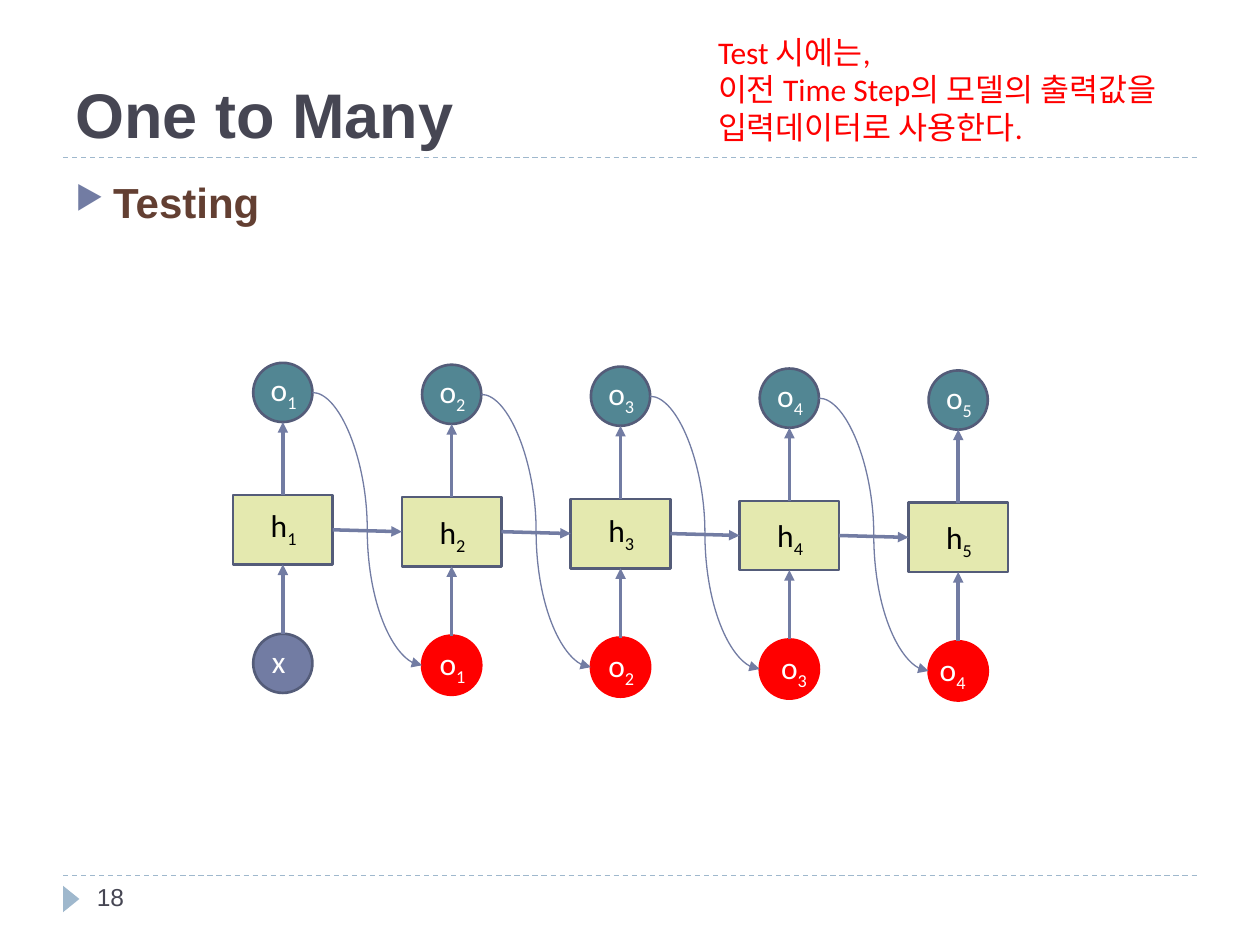
"""Build the One to Many slide, showing how a recurrent network runs at test time."""
from lxml import etree
from pptx import Presentation
from pptx import util as u
from pptx.dml.color import RGBColor
from pptx.enum import dml, shapes, text
from pptx.oxml.ns import qn

COLORS = {"ink": "464653", "brown": "633F32", "rule": "9FB8CD", "arrow": "727CA3", "edge": "545C79",
          "state": "E4E9AF", "output": "528693", "fed": "FF0000", "white": "FFFFFF", "black": "000000"}
FORMATS = {
    "title": ("ink", {"name": "Arial", "size": u.Pt(36), "bold": True}),
    "number": ("ink", {"name": "Arial", "size": u.Pt(14)}),
    "heading": ("brown", {"name": "Arial", "size": u.Pt(24), "bold": True}),
    "remark": ("fed", {"name": "Calibri", "size": u.Pt(18)}),
    "node": ("white", {"name": "Calibri", "size": u.Pt(18)}),
    "state": ("black", {"name": "Calibri", "size": u.Pt(18)}),
}
RGB = {name: RGBColor.from_string(value) for name, value in COLORS.items()}
COL, DROP, NODE = 1.34, 0.015, 0.47
STATE_W, STATE_H = 0.79, 0.55

deck = Presentation()
deck.slide_width, deck.slide_height = u.Inches(10), u.Inches(7.5)
slide = deck.slides.add_slide(deck.slide_layouts[6])


def write(box, lines, style, sub="", wrap=False, anchor=text.MSO_ANCHOR.TOP):
    frame = slide.shapes.add_textbox(*map(u.Inches, box)).text_frame
    frame.word_wrap, frame.vertical_anchor = wrap, anchor
    color, values = FORMATS[style]
    for index, line in enumerate(lines):
        paragraph = frame.paragraphs[0] if index == 0 else frame.add_paragraph()
        for part in filter(None, (line, sub)):
            run = paragraph.add_run()
            run.text = part
            run.font.color.rgb = RGB[color]
            for key, value in values.items():
                setattr(run.font, key, value)
        if sub:
            run.font._element.set("baseline", "-25000")
    return frame


def link(start, end, color="arrow", width=2, head=True, kind=shapes.MSO_CONNECTOR.STRAIGHT):
    connector = slide.shapes.add_connector(kind, *map(u.Inches, (*start, *end)))
    connector.line.color.rgb, connector.line.width = RGB[color], u.Pt(width)
    if head:
        etree.SubElement(connector.line._get_or_add_ln(), qn("a:tailEnd"), type="triangle")
    etree.SubElement(connector._element.spPr, qn("a:effectLst"))
    return connector


for rule_y in (6.95, 1.25):
    rule = link((0.5, rule_y), (9.5, rule_y), "rule", 0.75, head=False)
    rule.line.dash_style = dml.MSO_LINE.DASH

marker = slide.shapes.add_shape(shapes.MSO_SHAPE.ISOSCELES_TRIANGLE, *map(u.Inches, (0.46, 7.07, 0.21, 0.13)))
marker.rotation, marker.shadow.inherit = 90, False
marker.fill.solid()
marker.fill.fore_color.rgb = RGB["rule"]
marker.line.fill.background()

write((0.5, 0.17, 9, 1.08), ["One to Many"], "title", wrap=True, anchor=text.MSO_ANCHOR.BOTTOM)
write((0.67, 6.95, 2.17, 0.4), ["18"], "number", wrap=True)
heading = write((0.5, 1.35, 9, 5.38), ["Testing"], "heading", wrap=True).paragraphs[0]
bullet = heading._p.get_or_add_pPr()
bullet.set("marL", str(u.Inches(0.3)))
bullet.set("indent", str(u.Inches(-0.3)))
tint = etree.SubElement(bullet, qn("a:buClr"))
etree.SubElement(tint, qn("a:srgbClr"), val=COLORS["arrow"])
etree.SubElement(bullet, qn("a:buSzPct"), val="76000")
etree.SubElement(bullet, qn("a:buChar"), char="▶")

state_label_tops = (3.97, 4.02, 4.01, 4.05, 4.06)
input_label_lefts = (2.06, 3.39, 4.73, 6.1, 7.36)
previous_state = None
for step in range(5):
    left, drop = 1.85 + COL * step, DROP * step
    middle = left + STATE_W / 2
    node_left = middle - NODE / 2
    output_top, state_top, input_top = (top + drop for top in (2.88, 3.93, 5.03))
    input_color = "fed" if step else "arrow"
    parts = []
    for preset, box, fill, edge in (
        (shapes.MSO_SHAPE.RECTANGLE, (left, state_top, STATE_W, STATE_H), "state", "edge"),
        (shapes.MSO_SHAPE.OVAL, (node_left, output_top, NODE, NODE), "output", "edge"),
        (shapes.MSO_SHAPE.OVAL, (node_left, input_top, NODE, NODE), input_color, "fed" if step else "edge"),
    ):
        part = slide.shapes.add_shape(preset, *map(u.Inches, box))
        part.shadow.inherit = False
        part.fill.solid()
        part.fill.fore_color.rgb = RGB[fill]
        part.line.color.rgb, part.line.width = RGB[edge], u.Pt(1.5)
        parts.append(part)
    state = parts[0]

    link((middle, state_top), (middle, output_top + NODE)).begin_connect(state, 0)
    link((middle, input_top), (middle, state_top + STATE_H)).end_connect(state, 2)
    if previous_state:
        across = link((left - COL + STATE_W, state_top), (left, state_top))
        across.begin_connect(previous_state, 3)
        across.end_connect(state, 1)
        link((node_left - COL + NODE, output_top - DROP + NODE / 2), (node_left, input_top + NODE / 2),
             width=0.75, kind=shapes.MSO_CONNECTOR.CURVE)
    previous_state = state

    write((node_left + 0.04, output_top + 0.01, 0.42, 0.4), ["o"], "node", str(step + 1))
    write((left + 0.2, state_label_tops[step], 0.41, 0.4), ["h"], "state", str(step + 1))
    write((input_label_lefts[step], input_top + 0.02, 0.42 if step else 0.33, 0.4),
          ["o" if step else "x"], "node", str(step) if step else "")

write((5.6, 0.21, 4.02, 1.01), ["Test 시에는,", "이전 Time Step의 모델의 출력값을", "입력데이터로 사용한다."], "remark")

deck.save("out.pptx")
